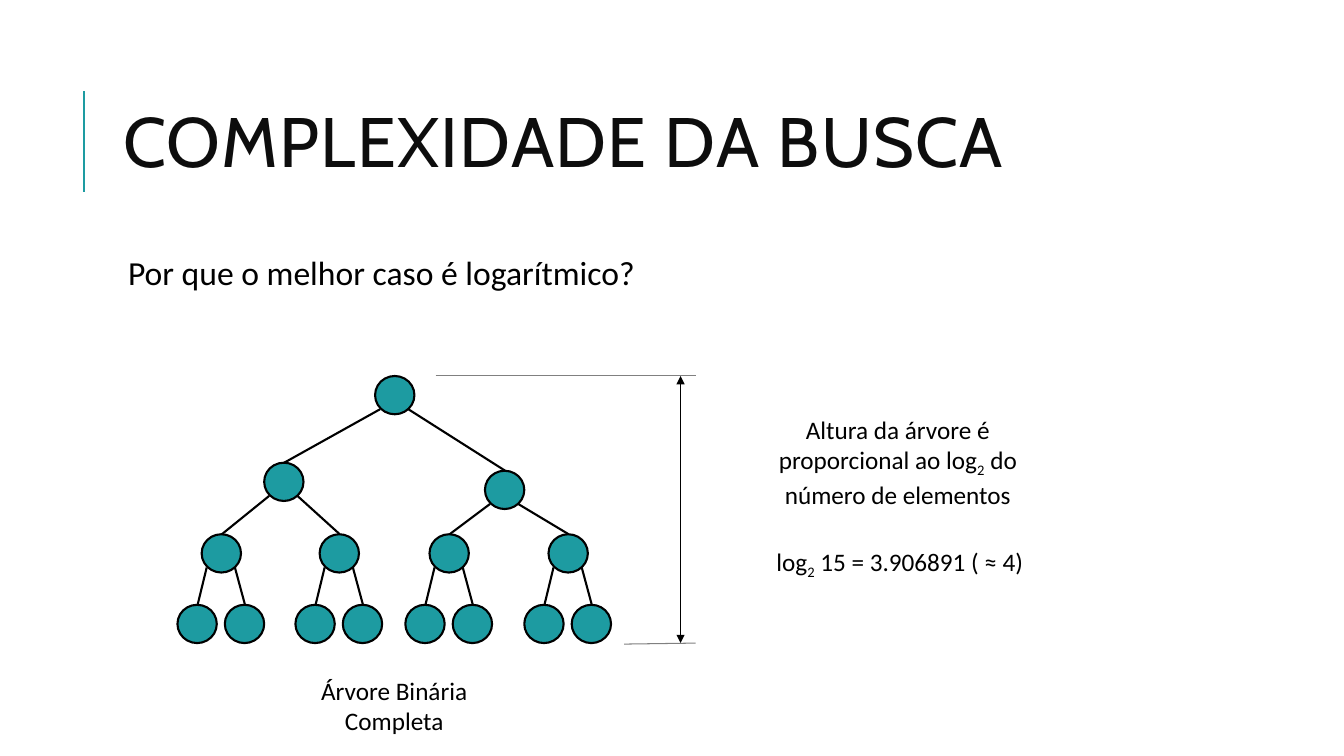
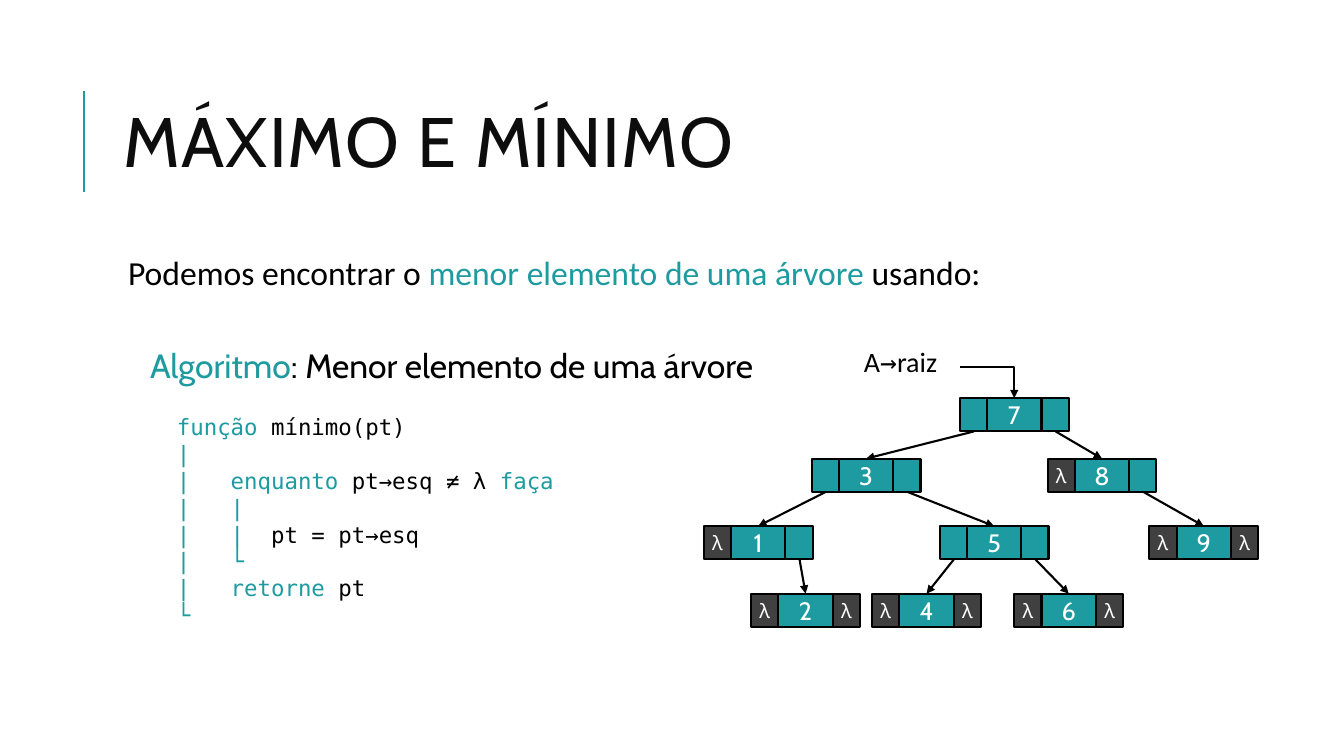
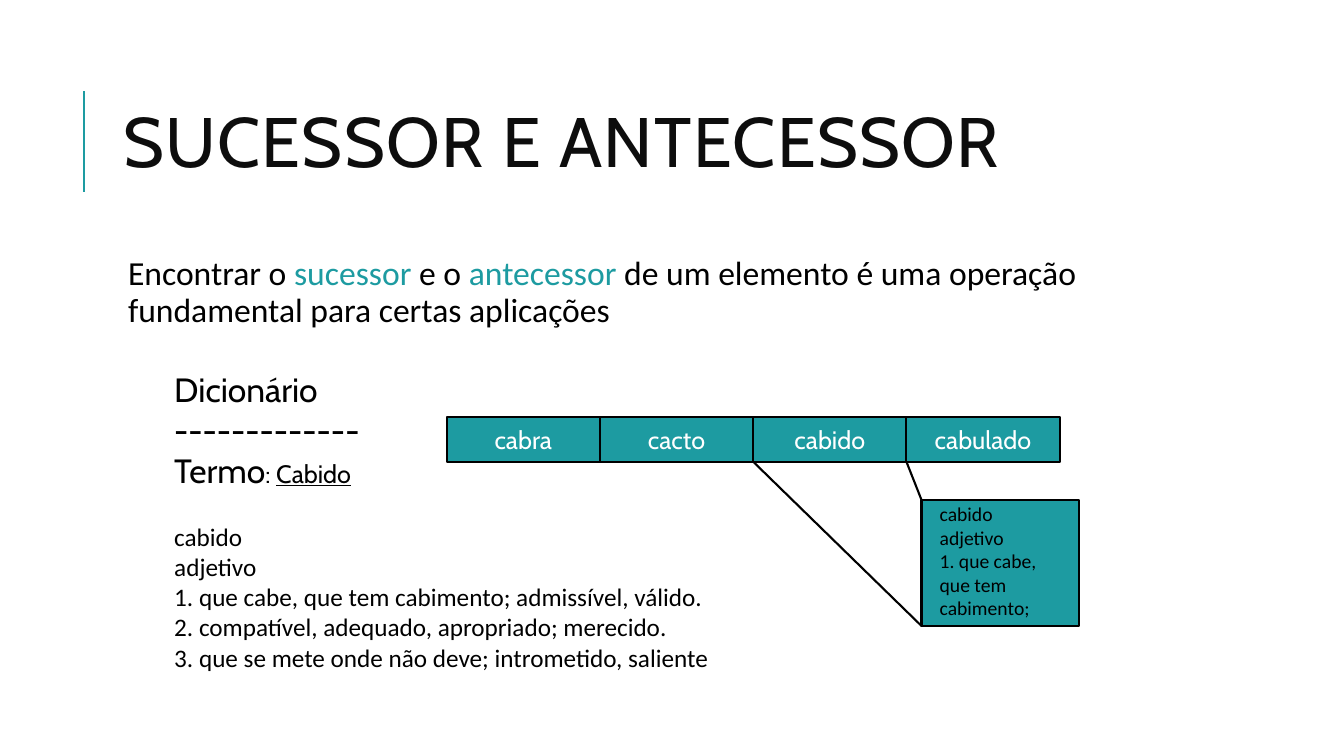
from lxml import etree
from pptx import Presentation
from pptx.dml.color import RGBColor
from pptx.enum.shapes import MSO_CONNECTOR, MSO_SHAPE
from pptx.enum.text import MSO_ANCHOR, MSO_AUTO_SIZE, PP_ALIGN
from pptx.oxml.ns import qn
from pptx.util import Pt

PX = 9144  # 100 px to the inch
STRAIGHT, ELBOW = MSO_CONNECTOR.STRAIGHT, MSO_CONNECTOR.ELBOW
RECT, OVAL = MSO_SHAPE.RECTANGLE, MSO_SHAPE.OVAL
TOP, MIDDLE = MSO_ANCHOR.TOP, MSO_ANCHOR.MIDDLE
LEFT, CENTER = PP_ALIGN.LEFT, PP_ALIGN.CENTER
TITLE_FONT, BODY_FONT, CODE_FONT = "Cabin", "Calibri", "DejaVu Sans Mono"
COLORS = {
    "teal": "1D9BA1",
    "black": "000000",
    "title": "0D0D0D",
    "dark": "404040",
    "gray": "808080",
    "white": "FFFFFF",
}


def rgb(name):
    return RGBColor.from_string(COLORS[name])


def add_box(slide, at, paragraphs=(), shape=None, fill="teal", insets=(10, 5, 10, 5),
            anchor=TOP, align=LEFT, wrap=True, size=18, font=BODY_FONT, color="black",
            spacing=None, gaps=None):
    """Add a text box, or a filled shape if one is given.

    A paragraph is a list of spans; a span is a string or (string, overrides).
    gaps maps a paragraph's index to the points of space before it.
    """
    place = [length * PX for length in at]
    if shape is None:
        box = slide.shapes.add_textbox(*place)
    else:
        box = slide.shapes.add_shape(shape, *place)
        box.shadow.inherit = False
        box.fill.solid()
        box.fill.fore_color.rgb = rgb(fill)
        box.line.color.rgb = rgb("black")
        box.line.width = Pt(1.5)
    frame = box.text_frame
    frame.word_wrap = wrap
    frame.vertical_anchor = anchor
    frame.margin_left, frame.margin_top, frame.margin_right, frame.margin_bottom = [
        inset * PX for inset in insets]
    for index, spans in enumerate(paragraphs):
        para = frame.add_paragraph() if index else frame.paragraphs[0]
        para.alignment = align
        para.line_spacing = spacing
        if gaps and index in gaps:
            para.space_before = Pt(gaps[index])
        for span in spans:
            text, changes = (span, {}) if isinstance(span, str) else span
            style = {"size": size, "font": font, "color": color, **changes}
            run = para.add_run()
            run.text = text
            run.font.size = Pt(style["size"])
            run.font.name = style["font"]
            run.font.color.rgb = rgb(style["color"])
            if "underline" in style:
                run.font.underline = style["underline"]
            if "baseline" in style:
                run.font._element.set("baseline", str(style["baseline"]))
    return box


def add_line(slide, start, end, color="black", width=1.5, arrows=(), kind=STRAIGHT):
    """Add a connector; arrows names its arrow ends, headEnd and tailEnd."""
    points = [length * PX for length in (*start, *end)]
    line = slide.shapes.add_connector(kind, *points)
    line.line.color.rgb = rgb(color)
    line.line.width = Pt(width)
    for arrow in arrows:
        etree.SubElement(line.line._get_or_add_ln(), qn("a:" + arrow), type="triangle")
    etree.SubElement(line._element.spPr, qn("a:effectLst"))
    return line


TEAL = {"color": "teal"}
BLACK = {"color": "black"}
SUBSCRIPT = {"baseline": -25000}

deck = Presentation()
deck.slide_width, deck.slide_height = 1333 * PX, 750 * PX

# Title, side rule and opening sentence of every slide
openings = [
    ("COMPLEXIDADE DA BUSCA", ["Por que o melhor caso é logarítmico?"]),
    ("MÁXIMO E MÍNIMO",
     ["Podemos encontrar o ", ("menor elemento de uma árvore ", TEAL), "usando:"]),
    ("SUCESSOR E ANTECESSOR",
     ["Encontrar o ", ("sucessor ", TEAL), "e o ", ("antecessor", TEAL),
      " de um elemento é uma operação fundamental para certas aplicações"]),
]
for heading, lead in openings:
    slide = deck.slides.add_slide(deck.slide_layouts[5])
    add_line(slide, (83, 190), (83, 90), color="teal")
    title = slide.shapes.title
    title.left, title.top, title.width, title.height = [
        length * PX for length in (112, 64, 1063, 164)]
    title.text_frame.auto_size = MSO_AUTO_SIZE.NONE
    title.text_frame.vertical_anchor = MIDDLE
    para = title.text_frame.paragraphs[0]
    para.alignment = LEFT
    para.line_spacing = 0.8
    span = para.add_run()
    span.text = heading
    span.font.size = Pt(50)
    span.font.name = TITLE_FONT
    span.font.color.rgb = rgb("title")
    span.font._element.set("spc", "100")
    add_box(slide, (112, 250, 1063, 90), [lead], size=24, spacing=0.9, insets=(15, 5, 5, 5))

search_slide, minimum_slide, successor_slide = deck.slides

# Slide 1: complete binary tree, its nodes in heap order
NODE_WIDTH, NODE_HEIGHT = 39, 38
nodes = [(372, 373), (262, 459), (481, 467)]
nodes += [(left, 530) for left in (200, 317, 426, 544)]
nodes += [(left + shift, 600) for left, top in nodes[3:] for shift in (-24, 23)]
for index, (left, top) in enumerate(nodes):
    add_box(search_slide, (left, top, NODE_WIDTH, NODE_HEIGHT), shape=OVAL)
    if index:
        parent_left, parent_top = nodes[(index - 1) // 2]
        shift = 5 if index % 2 else 33
        add_line(search_slide, (parent_left + shift, parent_top + 33), (left + 20, top))

add_line(search_slide, (675, 373), (675, 638), width=1.25, arrows=("headEnd", "tailEnd"))
add_line(search_slide, (432, 373), (690, 373), color="gray", width=0.75)
add_line(search_slide, (619, 639), (690, 638), color="gray", width=0.75)
add_box(search_slide, (759, 406, 263, 101),
        [["Altura da árvore é proporcional ao log", ("2", SUBSCRIPT), " do número de elementos"]],
        align=CENTER)
add_box(search_slide, (745, 537, 295, 40),
        [["log", ("2", SUBSCRIPT), " 15 = 3.906891 ( ≈ 4)"]], align=CENTER, wrap=False)
add_box(search_slide, (262, 665, 258, 71), [["Árvore Binária Completa"]], align=CENTER)

# Slide 2: algorithm and linked tree
add_box(minimum_slide, (139, 337, 744, 50),
        [[("Algoritmo", TEAL), ": Menor elemento de uma árvore"]], size=24, font=TITLE_FONT)
code = [
    ["  função", (" mínimo(pt)", BLACK)],
    ["  |"],
    ["  |   enquanto ", ("pt→esq ≠ λ ", BLACK), "faça"],
    ["  |   |"],
    ["  |   |  ", ("pt = pt→esq", BLACK)],
    ["  |   └"],
    ["  |   retorne ", ("pt", BLACK)],
    ["  └"],
]
add_box(minimum_slide, (139, 405, 500, 225), code, size=16, font=CODE_FONT, color="teal",
        spacing=Pt(19.2))

CELL, KEY, ROW = 27, 54, 33
# key: left, top, left child, right child
tree = {
    7: (952, 395, 3, 8),
    3: (805, 455, 1, 5),
    8: (1039, 455, None, 9),
    1: (698, 522, None, 2),
    5: (932, 522, 4, 6),
    9: (1140, 522, None, None),
    2: (745, 589, None, None),
    4: (865, 589, None, None),
    6: (1006, 589, None, None),
}
cell_style = {"shape": RECT, "insets": (0, 0, 0, 0), "anchor": MIDDLE, "align": CENTER,
              "font": TITLE_FONT, "color": "white"}
for key, (left, top, *children) in tree.items():
    add_box(minimum_slide, (left + CELL, top, KEY, ROW), [[str(key)]], **cell_style)
    for child, cell_left in zip(children, (left, left + CELL + KEY)):
        place = (cell_left, top, CELL, ROW)
        if child is None:
            add_box(minimum_slide, place, [["λ"]], fill="dark", size=14, **cell_style)
            continue
        add_box(minimum_slide, place, **cell_style)
        child_left, child_top = tree[child][:2]
        add_line(minimum_slide, (cell_left + 14, top + ROW), (child_left + 54, child_top),
                 arrows=("tailEnd",))

add_box(minimum_slide, (847, 337, 108, 44), [["A", ("→", {"font": CODE_FONT}), "raiz"]],
        size=20, wrap=False)
root_arrow = add_line(minimum_slide, (952, 364), (1006, 395), arrows=("tailEnd",), kind=ELBOW)
root_arrow._element.spPr.find(qn("a:prstGeom")).set("prst", "bentConnector2")

# Slide 3: dictionary entry and list of words
term_style = {"size": 18}
add_box(successor_slide, (163, 361, 787, 343), [
    [("Dicionário", {})],
    ["-------------"],
    ["Termo", (": ", term_style), ("Cabido", {**term_style, "underline": True})],
], size=24, font=TITLE_FONT)
add_box(successor_slide, (163, 512, 787, 170), [
    ["cabido"],
    ["adjetivo"],
    ["1. que cabe, que tem cabimento; admissível, válido."],
    ["2. compatível, adequado, apropriado; merecido."],
    ["3. que se mete onde não deve; intrometido, saliente"],
])

WORDS_LEFT, WORDS_TOP, WORD_WIDTH, WORD_HEIGHT = 443, 414, 152, 44
for index, word in enumerate(["cabra", "cacto", "cabido", "cabulado"]):
    add_box(successor_slide,
            (WORDS_LEFT + index * WORD_WIDTH, WORDS_TOP, WORD_WIDTH, WORD_HEIGHT),
            [[word]], **cell_style)
add_box(successor_slide, (914, 496, 156, 125),
        [["cabido"], ["adjetivo"], ["1. que cabe, que tem cabimento;"]],
        shape=RECT, insets=(18, 2, 10, 0), size=14)
for boundary, corner_top in ((2, 621), (3, 496)):
    add_line(successor_slide,
             (WORDS_LEFT + boundary * WORD_WIDTH, WORDS_TOP + WORD_HEIGHT), (914, corner_top))

deck.save("out.pptx")
